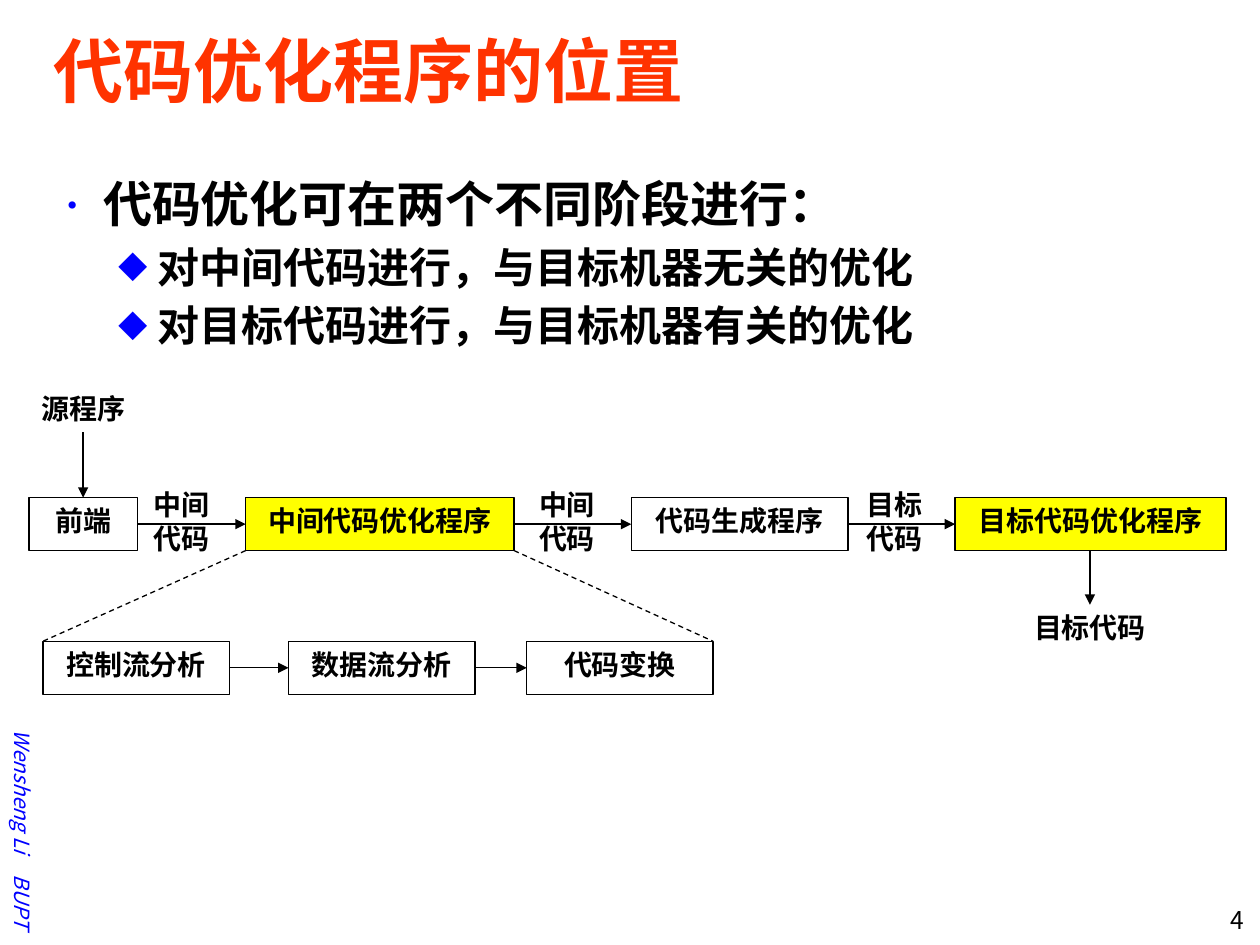
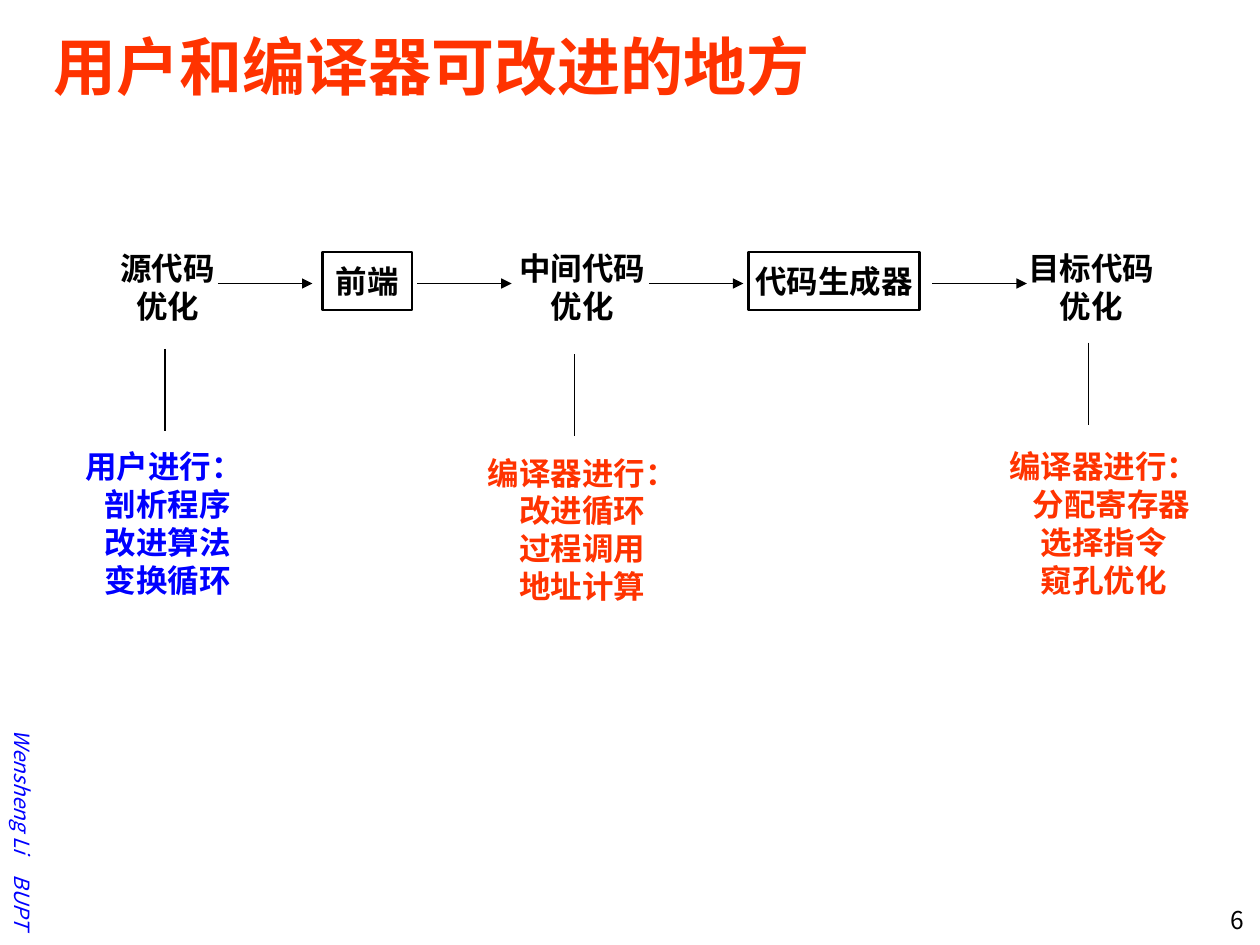
import pptx
import pptx.dml.color
import pptx.enum.dml
import pptx.enum.shapes
import pptx.enum.text
import pptx.oxml
import pptx.oxml.ns
import pptx.util

Inches = pptx.util.Inches
Pt = pptx.util.Pt
RGBColor = pptx.dml.color.RGBColor
ALIGN = pptx.enum.text.PP_ALIGN
ANCHOR = pptx.enum.text.MSO_ANCHOR

BLACK = RGBColor(0x00, 0x00, 0x00)
WHITE = RGBColor(0xFF, 0xFF, 0xFF)
YELLOW = RGBColor(0xFF, 0xFF, 0x00)
BLUE = RGBColor(0x00, 0x00, 0xFF)
ORANGE = RGBColor(0xFF, 0x33, 0x00)

SANS = "Noto Sans CJK SC"
SERIF = "Times New Roman"

BOX_HEIGHT = 0.42
STEP_WIDTH = 1.48
LABEL_WIDTH = 1.48


def add_xml(parent, tag, **attributes):
    element = pptx.oxml.parse_xml(f"<a:{tag} {pptx.oxml.ns.nsdecls('a')}/>")
    for name, value in attributes.items():
        element.set(name, str(value))
    parent.append(element)
    return element


def write_text(shape, text, size=18, font=SANS, color=BLACK, bold=True, italic=False,
               align=ALIGN.CENTER, anchor=ANCHOR.TOP, insets=(0.1, 0.05), indents=()):
    frame = shape.text_frame
    frame.word_wrap = True
    frame.vertical_anchor = anchor
    frame.margin_left = frame.margin_right = Inches(insets[0])
    frame.margin_top = frame.margin_bottom = Inches(insets[1])
    for index, line in enumerate(text.split("\n")):
        paragraph = frame.paragraphs[0] if index == 0 else frame.add_paragraph()
        paragraph.alignment = align
        if indents:
            paragraph._p.get_or_add_pPr().set("marL", str(Inches(indents[index])))
        run = paragraph.add_run()
        run.text = line
        run.font.name = font
        run.font.size = Pt(size)
        run.font.bold = bold
        run.font.italic = italic
        run.font.color.rgb = color
        add_xml(run._r.get_or_add_rPr(), "ea", typeface=SANS)
    return frame


def add_text(slide, left, top, width, height, text, **text_format):
    shape = slide.shapes.add_textbox(Inches(left), Inches(top), Inches(width), Inches(height))
    write_text(shape, text, **text_format)
    return shape


def add_box(slide, left, top, width, height, text, fill=None, line_width=0.75, **text_format):
    shape = slide.shapes.add_shape(pptx.enum.shapes.MSO_SHAPE.RECTANGLE, Inches(left),
                                   Inches(top), Inches(width), Inches(height))
    shape.shadow.inherit = False
    if fill is None:
        shape.fill.background()
    else:
        shape.fill.solid()
        shape.fill.fore_color.rgb = fill
    shape.line.color.rgb = BLACK
    shape.line.width = Pt(line_width)
    write_text(shape, text, **text_format)


def add_line(slide, start, end, arrow=False, dashed=False):
    line = slide.shapes.add_connector(pptx.enum.shapes.MSO_CONNECTOR.STRAIGHT,
                                      *map(Inches, start + end))
    line.line.color.rgb = BLACK
    line.line.width = Pt(0.75)
    if dashed:
        line.line.dash_style = pptx.enum.dml.MSO_LINE.DASH
    if arrow:
        add_xml(line.line._get_or_add_ln(), "tailEnd", type="triangle")
    add_xml(line._element.spPr, "effectLst")


def add_bullets(slide, items):
    shape = add_text(slide, 0.34, 1.33, 9.11, 1.68, "\n".join(text for _, text in items),
                     align=ALIGN.LEFT)
    for index, (level, _) in enumerate(items):
        paragraph = shape.text_frame.paragraphs[index]
        size, margin, hanging, mark = ((28, 0.38, 0.38, "•"), (24, 0.81, 0.31, "◆"))[level]
        paragraph.level = level
        paragraph.runs[0].font.size = Pt(size)
        paragraph.space_before = Pt(0.2 * size if index else 0)
        properties = paragraph._p.get_or_add_pPr()
        properties.set("marL", str(Inches(margin)))
        properties.set("indent", str(-Inches(hanging)))
        add_xml(add_xml(properties, "buClr"), "srgbClr", val=BLUE)
        add_xml(properties, "buSzPct", val=70000)
        add_xml(properties, "buFont", typeface=SANS)
        add_xml(properties, "buChar", char=mark)


def add_footer(slide, text, bottom, length):
    height = 0.3
    shape = add_text(slide, 0.18 - length / 2, bottom - length / 2 - height / 2, length, height,
                     text, size=12, color=BLUE, bold=False, italic=True,
                     align=ALIGN.RIGHT, anchor=ANCHOR.MIDDLE)
    shape.rotation = 90


def add_slide(presentation, title, title_size, number):
    slide = presentation.slides.add_slide(presentation.slide_layouts[6])
    add_footer(slide, "Wensheng Li", 6.87, 1.4)
    add_footer(slide, "BUPT", 7.47, 0.8)
    add_text(slide, 9.14, 7.13, 0.83, 0.36, number, size=14, bold=False, align=ALIGN.RIGHT)
    add_text(slide, 0.33, 0.17, 9.42, 0.8, title, size=title_size, color=ORANGE,
             align=ALIGN.LEFT)
    return slide


def add_box_row(slide, top, boxes):
    for left, width, text, fill in boxes:
        add_box(slide, left, top, width, BOX_HEIGHT, text, fill=fill, size=16, font=SERIF)
    middle = top + BOX_HEIGHT / 2
    for (left, width, _, _), following in zip(boxes, boxes[1:]):
        add_line(slide, (left + width, middle), (following[0], middle), arrow=True)


def build_position_slide(presentation):
    slide = add_slide(presentation, "代码优化程序的位置", 40, "4")
    add_bullets(slide, [
        (0, "代码优化可在两个不同阶段进行："),
        (1, "对中间代码进行，与目标机器无关的优化"),
        (1, "对目标代码进行，与目标机器有关的优化"),
    ])

    stage_top, step_top = 3.95, 5.09
    add_box_row(slide, stage_top, [
        (0.23, 0.86, "前端", WHITE),
        (1.95, 2.13, "中间代码优化程序", YELLOW),
        (5.01, 1.72, "代码生成程序", WHITE),
        (7.58, 2.15, "目标代码优化程序", YELLOW),
    ])
    add_box_row(slide, step_top, [
        (0.34, STEP_WIDTH, "控制流分析", WHITE),
        (2.29, STEP_WIDTH, "数据流分析", WHITE),
        (4.18, STEP_WIDTH, "代码变换", WHITE),
    ])

    stage_bottom = stage_top + BOX_HEIGHT
    for stage_corner, step_corner in ((1.95, 0.34), (4.08, 5.66)):
        add_line(slide, (stage_corner, stage_bottom), (step_corner, step_top), dashed=True)

    for center, text in ((1.44, "中间\n代码"), (4.5, "中间\n代码"), (7.1, "目标\n代码")):
        add_text(slide, center - LABEL_WIDTH / 2, 3.82, LABEL_WIDTH, 0.71, text,
                 size=16, font=SERIF)

    for center, top, text in ((0.66, 3.06, "源程序"), (8.65, 4.8, "目标代码")):
        add_text(slide, center - LABEL_WIDTH / 2, top, LABEL_WIDTH, 0.4, text,
                 size=16, font=SERIF)
    add_line(slide, (0.66, 3.43), (0.66, stage_top), arrow=True)
    add_line(slide, (8.65, stage_bottom), (8.65, 4.8), arrow=True)


def build_improvement_slide(presentation):
    slide = add_slide(presentation, "用户和编译器可改进的地方", 36, "6")

    for center, text in ((1.33, "源代码\n优化"), (4.62, "中间代码\n优化"), (8.66, "目标代码\n优化")):
        add_text(slide, center - 0.6, 1.98, 1.2, 0.61, text, insets=(0, 0))
    for left, width, text in ((2.56, 0.71, "前端"), (5.94, 1.36, "代码生成器")):
        add_box(slide, left, 2, width, 0.46, text, line_width=1.38,
                anchor=ANCHOR.MIDDLE, insets=(0, 0))
    for left in (1.73, 3.31, 5.15, 7.4):
        add_line(slide, (left, 2.25), (left + 0.75, 2.25), arrow=True)

    task_width = 1.7
    tasks = [
        (1.31, 2.77, 1.3, 3.55, BLUE, "用户进行：\n剖析程序\n改进算法\n变换循环",
         (0, 0.06, 0.06, 0.06)),
        (4.56, 2.81, 4.62, 3.6, ORANGE, "编译器进行：\n改进循环\n过程调用\n地址计算", ()),
        (8.64, 2.72, 8.76, 3.55, ORANGE, "编译器进行：\n分配寄存器\n选择指令\n窥孔优化",
         (0, 0.12, 0, 0)),
    ]
    for line_x, line_top, center, top, color, text, indents in tasks:
        add_line(slide, (line_x, line_top), (line_x, line_top + 0.65))
        add_text(slide, center - task_width / 2, top, task_width, 1.2, text, color=color,
                 insets=(0, 0), indents=indents)


def main():
    presentation = pptx.Presentation()
    presentation.slide_width = Inches(10)
    presentation.slide_height = Inches(7.5)
    build_position_slide(presentation)
    build_improvement_slide(presentation)
    presentation.save("out.pptx")


main()
